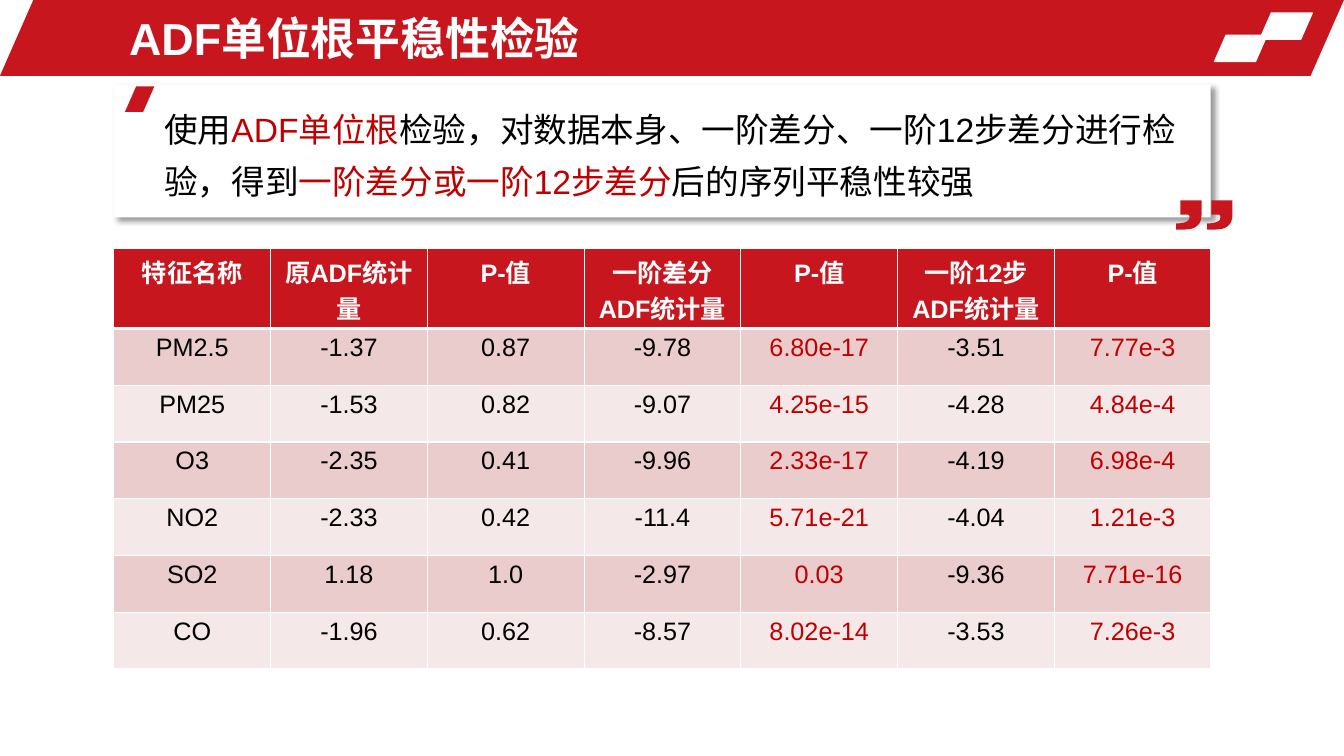
import pptx
import pptx.util
import pptx.dml.color
import pptx.enum.shapes
import pptx.enum.text
import pptx.oxml

Cm = pptx.util.Cm
Pt = pptx.util.Pt
RGBColor = pptx.dml.color.RGBColor
KIND = pptx.enum.shapes.MSO_SHAPE
TEXT = pptx.enum.text

RED = RGBColor(0xC8, 0x16, 0x1E)
MARK = RGBColor(0xC0, 0x00, 0x00)
WHITE = RGBColor(0xFF, 0xFF, 0xFF)
BLACK = RGBColor(0x00, 0x00, 0x00)
ROSE = RGBColor(0xEB, 0xCC, 0xCD)
PALE = RGBColor(0xF5, 0xE8, 0xE8)
FONT = "Arial"
SPACE = 'xmlns:a="http://schemas.openxmlformats.org/drawingml/2006/main"'


def paint(shape, fill):
    shape.shadow.inherit = False
    shape.fill.solid()
    shape.fill.fore_color.rgb = fill
    shape.line.fill.background()


def curve(start, first, second, end, steps=8):
    """Return points along a cubic Bezier curve, without its start."""
    points = []
    for step in range(1, steps + 1):
        t = step / steps
        u = 1 - t
        points.append(tuple(
            u**3 * a + 3 * u**2 * t * b + 3 * u * t**2 * c + t**3 * d
            for a, b, c, d in zip(start, first, second, end)))
    return points


deck = pptx.Presentation()
deck.slide_width = Cm(33.87)
deck.slide_height = Cm(19.05)
slide = deck.slides.add_slide(deck.slide_layouts[5])
shapes = slide.shapes

# Header band with its white tiles, and the flag of the quote card
bands = [
    (0, 0, 33.87, 1.91, RED),
    (31.75, 0.33, 1.32, 0.66, WHITE),
    (30.61, 0.89, 1.32, 0.66, WHITE),
]
for left, top, width, height, fill in bands:
    band = shapes.add_shape(
        KIND.PARALLELOGRAM, Cm(left), Cm(top), Cm(width), Cm(height))
    band.adjustments[0] = 0.44
    paint(band, fill)
    if fill == WHITE:
        band.line.color.rgb = WHITE
        band.line.width = Pt(1)

title = shapes.title
title.left, title.top = Cm(3), Cm(0.13)
title.width, title.height = Cm(19.66), Cm(1.65)
band.element.addnext(title.element)
frame = title.text_frame
frame.text = "ADF单位根平稳性检验"
frame.auto_size = TEXT.MSO_AUTO_SIZE.NONE
frame.vertical_anchor = TEXT.MSO_ANCHOR.MIDDLE
para = frame.paragraphs[0]
para.alignment = TEXT.PP_ALIGN.LEFT
para.font.name = FONT
para.font.size = Pt(32)
para.font.bold = True
para.font.color.rgb = WHITE

# Quote card
card = shapes.add_shape(
    KIND.ROUNDED_RECTANGLE, Cm(2.87), Cm(2.13), Cm(27.64), Cm(3.35))
card.adjustments[0] = 0
paint(card, WHITE)
shade = pptx.oxml.parse_xml(
    f'<a:outerShdw {SPACE} blurRad="{Pt(4)}" dist="{Pt(3)}" dir="2700000"'
    ' algn="tl" rotWithShape="0"><a:srgbClr val="000000">'
    '<a:alpha val="40000"/></a:srgbClr></a:outerShdw>')
card.element.spPr.find(pptx.oxml.ns.qn("a:effectLst")).append(shade)

flag = shapes.add_shape(
    KIND.PARALLELOGRAM, Cm(3.15), Cm(2.18), Cm(0.74), Cm(0.64))
flag.adjustments[0] = 0.44
paint(flag, RED)

quote = shapes.add_textbox(Cm(3.89), Cm(2.31), Cm(26.31), Cm(2.92))
frame = quote.text_frame
frame.word_wrap = True
para = frame.paragraphs[0]
para.line_spacing = 1.3
para.font.name = FONT
para.font.size = Pt(24)
parts = [
    ("使用", BLACK),
    ("ADF单位根", MARK),
    ("检验，对数据本身、一阶差分、一阶12步差分进行检验，得到", BLACK),
    ("一阶差分或一阶12步差分", MARK),
    ("后的序列平稳性较强", BLACK),
]
for words, color in parts:
    run = para.add_run()
    run.text = words
    run.font.color.rgb = color

# Closing quote mark: two equal commas, in hundredths of a centimetre
comma = [(0, 0), (0, 38)]
comma += curve((0, 38), (0, 61), (-15, 74), (-48, 74))
comma += [(-64, 74), (-64, 58)]
comma += curve((-64, 58), (-43, 58), (-30, 53), (-30, 41))
comma += [(-33, 36), (-53, 36), (-53, 0)]
pen = None
for right in (3106, 3028):
    points = [(right + x, 505 + y) for x, y in comma]
    if pen is None:
        pen = shapes.build_freeform(*points[0], scale=Cm(0.01))
    else:
        pen.move_to(*points[0])
    pen.add_line_segments(points[1:], close=True)
paint(pen.convert_to_shape(), RED)

# Test results
rows = [
    ["特征名称", "原ADF统计量", "P-值", "一阶差分ADF统计量", "P-值",
     "一阶12步\nADF统计量", "P-值"],
    ["PM2.5", "-1.37", "0.87", "-9.78", "6.80e-17", "-3.51", "7.77e-3"],
    ["PM25", "-1.53", "0.82", "-9.07", "4.25e-15", "-4.28", "4.84e-4"],
    ["O3", "-2.35", "0.41", "-9.96", "2.33e-17", "-4.19", "6.98e-4"],
    ["NO2", "-2.33", "0.42", "-11.4", "5.71e-21", "-4.04", "1.21e-3"],
    ["SO2", "1.18", "1.0", "-2.97", "0.03", "-9.36", "7.71e-16"],
    ["CO", "-1.96", "0.62", "-8.57", "8.02e-14", "-3.53", "7.26e-3"],
]
table = shapes.add_table(
    len(rows), len(rows[0]), Cm(2.87), Cm(6.25), Cm(27.65), Cm(10.61)).table
for column in table.columns:
    column.width = Cm(3.95)
for r, values in enumerate(rows):
    head = r == 0
    table.rows[r].height = Cm(2.03 if head else 1.43)
    widths = {"L": 1, "R": 1, "T": 3 if r == 1 else 1, "B": 3 if head else 1}
    for c, value in enumerate(values):
        cell = table.cell(r, c)
        cell.text = value
        props = cell._tc.get_or_add_tcPr()
        for side, width in widths.items():
            props.append(pptx.oxml.parse_xml(
                f'<a:ln{side} {SPACE} w="{Pt(width)}"><a:solidFill>'
                f'<a:srgbClr val="{WHITE}"/></a:solidFill></a:ln{side}>'))
        cell.fill.solid()
        cell.fill.fore_color.rgb = RED if head else ROSE if r % 2 else PALE
        for para in cell.text_frame.paragraphs:
            para.alignment = TEXT.PP_ALIGN.CENTER
            para.font.name = FONT
            para.font.size = Pt(18)
            para.font.bold = head
            para.font.color.rgb = (
                WHITE if head else MARK if c in (4, 6) else BLACK)

deck.save("out.pptx")
